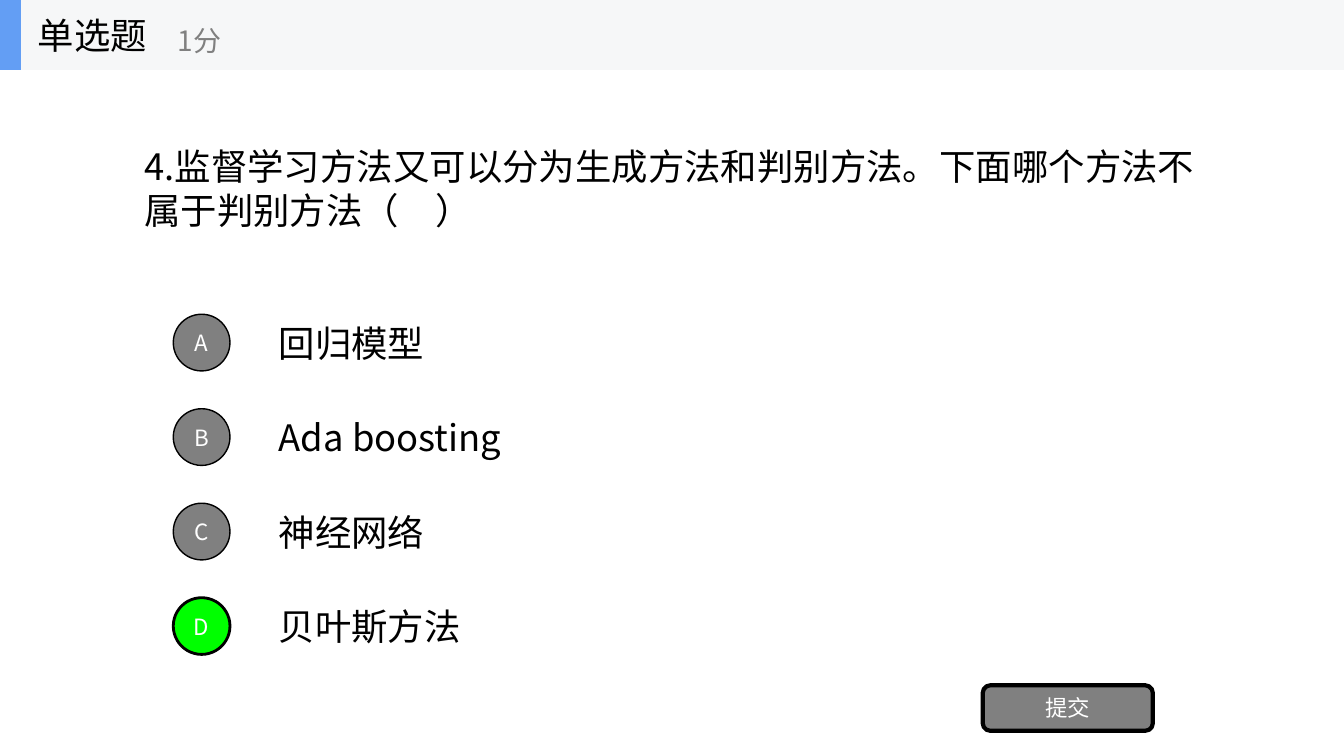
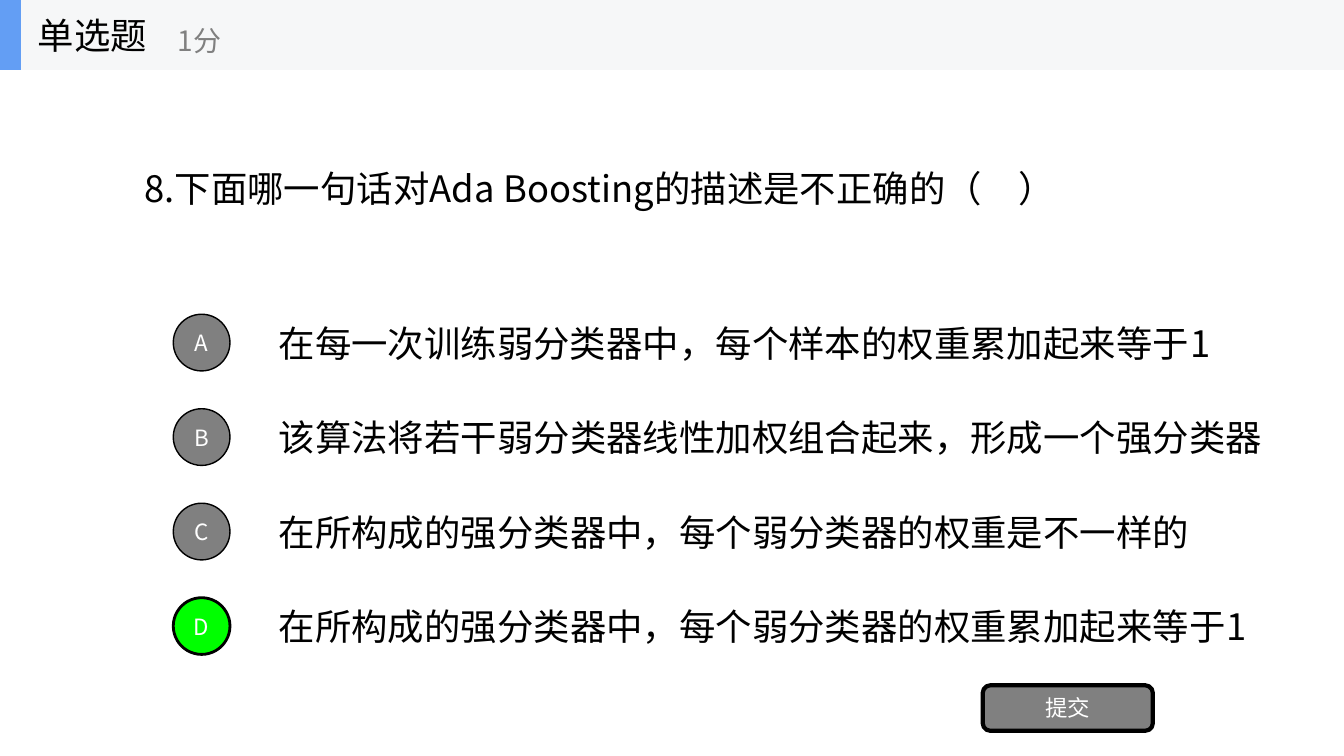
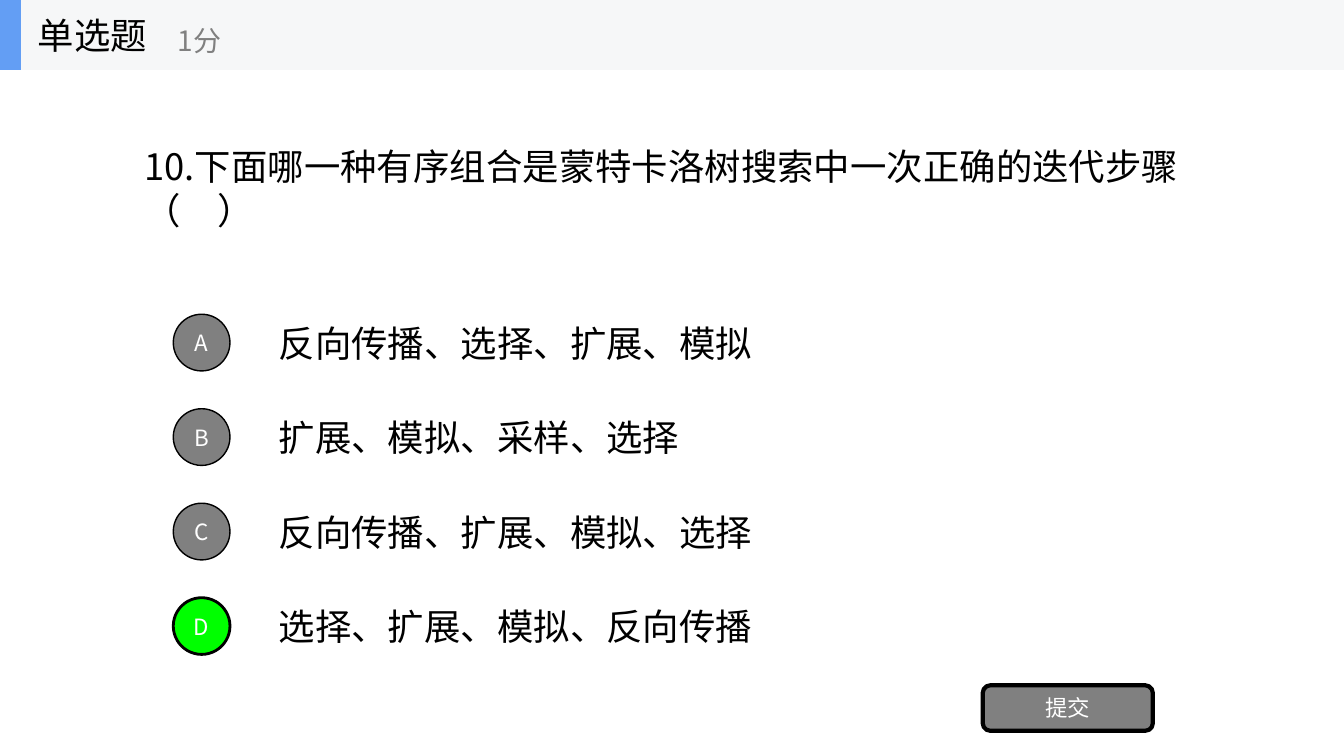
"""Build three single-choice quiz slides with a shared header, options and submit button."""
from dataclasses import dataclass
from typing import Any

from lxml import etree
from pptx import Presentation
from pptx import util as u
from pptx.dml.color import RGBColor
from pptx.enum import shapes, text
from pptx.oxml import ns

FONT = "Noto Sans CJK SC"
COLORS = {
    "page": "FFFFFF",
    "ink": "000000",
    "muted": "808080",
    "correct": "00FF00",
    "band": "F6F7F8",
    "accent": "639EF4",
}
SLIDE_WIDTH, SLIDE_HEIGHT = 960, 540
HEADER_HEIGHT = 50
OPTION_LEFT, OPTION_TOP, OPTION_HEIGHT, OPTION_PITCH = 192, 219.38, 50.62, 67.5
MARKER_LEFT, MARKER_SIZE = 123.75, 40.5


@dataclass(frozen=True)
class Box:
    left: float
    top: float
    width: float
    height: float

    def lengths(self) -> list[u.Length]:
        return [u.Pt(v) for v in (self.left, self.top, self.width, self.height)]


@dataclass(frozen=True)
class Option:
    wording: str
    correct: bool = False
    width: float = 672


@dataclass(frozen=True)
class Question:
    wording: str
    options: tuple[Option, ...]


QUESTIONS = (
    Question(
        "4.监督学习方法又可以分为生成方法和判别方法。下面哪个方法不属于判别方法（　）",
        (
            Option("回归模型"),
            Option("Ada boosting"),
            Option("神经网络"),
            Option("贝叶斯方法", correct=True),
        ),
    ),
    Question(
        "8.下面哪一句话对Ada Boosting的描述是不正确的（　）",
        (
            Option("在每一次训练弱分类器中，每个样本的权重累加起来等于1", width=684.5),
            Option("该算法将若干弱分类器线性加权组合起来，形成一个强分类器", width=718.5),
            Option("在所构成的强分类器中，每个弱分类器的权重是不一样的"),
            Option("在所构成的强分类器中，每个弱分类器的权重累加起来等于1", correct=True, width=718.5),
        ),
    ),
    Question(
        "10.下面哪一种有序组合是蒙特卡洛树搜索中一次正确的迭代步骤（　）",
        (
            Option("反向传播、选择、扩展、模拟"),
            Option("扩展、模拟、采样、选择"),
            Option("反向传播、扩展、模拟、选择"),
            Option("选择、扩展、模拟、反向传播", correct=True),
        ),
    ),
)


def rgb(color: str) -> RGBColor:
    return RGBColor.from_string(COLORS[color])


def write(frame: Any, wording: str, size: float, color: str) -> None:
    frame.word_wrap = True
    frame.vertical_anchor = text.MSO_ANCHOR.MIDDLE
    run = frame.paragraphs[0].add_run()
    run.text = wording
    run.font.size = u.Pt(size)
    run.font.name = FONT
    run.font.color.rgb = rgb(color)
    east_asian = etree.SubElement(run._r.get_or_add_rPr(), ns.qn("a:ea"))
    east_asian.set("typeface", FONT)


def add_label(parent: Any, box: Box, wording: str, size: float = 26, color: str = "ink") -> None:
    write(parent.add_textbox(*box.lengths()).text_frame, wording, size, color)


def add_panel(parent: Any, kind: shapes.MSO_SHAPE, box: Box, fill: str, border: float = 0) -> Any:
    panel = parent.add_shape(kind, *box.lengths())
    panel.shadow.inherit = False
    panel.fill.solid()
    panel.fill.fore_color.rgb = rgb(fill)
    if border:
        panel.line.color.rgb = rgb("ink")
        panel.line.width = u.Pt(border)
    else:
        panel.line.fill.background()
    return panel


def add_button(
    parent: Any, kind: shapes.MSO_SHAPE, box: Box, caption: str, fill: str, border: float
) -> None:
    frame = add_panel(parent, kind, box, fill, border).text_frame
    frame.margin_left = frame.margin_right = frame.margin_top = frame.margin_bottom = 0
    write(frame, caption, 16, "page")
    frame.paragraphs[0].alignment = text.PP_ALIGN.CENTER


def add_header(parent: Any) -> None:
    header = parent.add_group_shape().shapes
    for width, fill in ((SLIDE_WIDTH, "band"), (15, "accent")):
        add_panel(header, shapes.MSO_SHAPE.RECTANGLE, Box(0, 0, width, HEADER_HEIGHT), fill)
    add_label(header, Box(20, 0, 150, HEADER_HEIGHT), "单选题")
    add_label(header, Box(120, 9, 180, 40), "1分", 20, "muted")


def add_options(parent: Any, options: tuple[Option, ...]) -> None:
    tops = [OPTION_TOP + row * OPTION_PITCH for row in range(len(options))]
    for option, top in zip(options, tops):
        add_label(parent, Box(OPTION_LEFT, top, option.width, OPTION_HEIGHT), option.wording)
    for letter, option, top in zip("ABCD", options, tops):
        marker_top = top + (OPTION_HEIGHT - MARKER_SIZE) / 2
        fill, border = ("correct", 2) if option.correct else ("muted", 1)
        marker = Box(MARKER_LEFT, marker_top, MARKER_SIZE, MARKER_SIZE)
        add_button(parent, shapes.MSO_SHAPE.OVAL, marker, letter, fill, border)


def add_question(deck: Any, question: Question) -> None:
    slide = deck.slides.add_slide(deck.slide_layouts[6])
    slide.background.fill.solid()
    slide.background.fill.fore_color.rgb = rgb("page")
    add_label(slide.shapes, Box(96, HEADER_HEIGHT, 768, 168.5), question.wording)
    add_options(slide.shapes, question.options)
    submit = Box(702, 489.5, 121.5, 32.5)
    add_button(slide.shapes, shapes.MSO_SHAPE.ROUNDED_RECTANGLE, submit, "提交", "muted", 3)
    add_header(slide.shapes)


def main() -> None:
    deck = Presentation()
    deck.slide_width, deck.slide_height = u.Pt(SLIDE_WIDTH), u.Pt(SLIDE_HEIGHT)
    for question in QUESTIONS:
        add_question(deck, question)
    deck.save("out.pptx")


if __name__ == "__main__":
    main()
